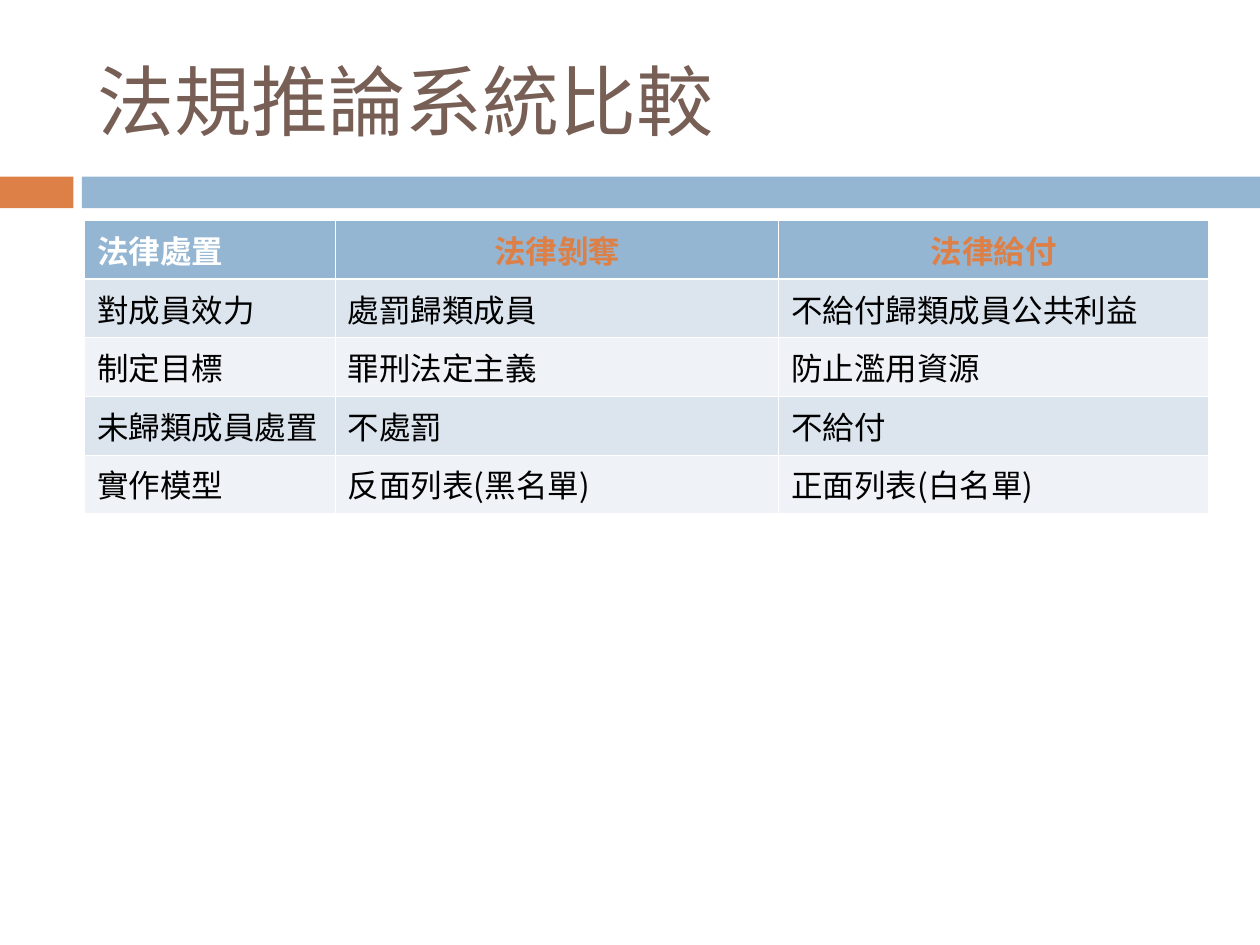
"""Build a slide comparing two kinds of legal inference systems in a table."""
from lxml.etree import SubElement
from pptx import Presentation
from pptx.dml.color import RGBColor
from pptx.enum.shapes import MSO_SHAPE as Shape
from pptx.enum.text import MSO_ANCHOR as Anchor, PP_ALIGN as Align
from pptx.oxml.ns import qn
from pptx.util import Cm, Pt

FONT = "Noto Sans CJK SC"
BLUE, ORANGE, WHITE = "94B6D2", "DD8047", "FFFFFF"


def paint(color_format, color):
    color_format.rgb = RGBColor.from_string(color)


def style(paragraph, size, color, bold=False, align=Align.LEFT):
    paragraph.alignment = align
    for run in paragraph.runs:
        run.font.size, run.font.bold, run.font.name = Pt(size), bold, FONT
        paint(run.font.color, color)
        SubElement(run.font._element, qn("a:ea"), typeface=FONT)


prs = Presentation()
prs.slide_width, prs.slide_height = Cm(25.4), Cm(19.05)
slide = prs.slides.add_slide(prs.slide_layouts[5])

for left, width, color in [(0, 1.48, ORANGE), (1.65, 23.75, BLUE)]:
    band = slide.shapes.add_shape(Shape.RECTANGLE, Cm(left), Cm(3.56), Cm(width), Cm(0.64))
    band.shadow.inherit = False
    band.fill.solid()
    paint(band.fill.fore_color, color)
    band.line.fill.background()

title = slide.shapes.title
title.left, title.top, title.width, title.height = Cm(1.71), Cm(0.64), Cm(22.65), Cm(2.74)
title.text_frame.text = "法規推論系統比較"
title.text_frame.vertical_anchor = Anchor.MIDDLE
style(title.text_frame.paragraphs[0], 44, "775F55")

rows = [
    ("法律處置", "法律剝奪", "法律給付"),
    ("對成員效力", "處罰歸類成員", "不給付歸類成員公共利益"),
    ("制定目標", "罪刑法定主義", "防止濫用資源"),
    ("未歸類成員處置", "不處罰", "不給付"),
    ("實作模型", "反面列表(黑名單)", "正面列表(白名單)"),
]
column_widths = [5.05, 8.94, 8.66]
row_height = 1.18
comparison = slide.shapes.add_table(
    len(rows), len(column_widths), Cm(1.71), Cm(4.45),
    Cm(sum(column_widths)), Cm(row_height * len(rows))).table
for column, width in zip(comparison.columns, column_widths):
    column.width = Cm(width)

for r, texts in enumerate(rows):
    comparison.rows[r].height = Cm(row_height)
    for c, text in enumerate(texts):
        cell = comparison.cell(r, c)
        properties = cell._tc.get_or_add_tcPr()
        for side in "LRTB":
            thick = (r, side) in [(0, "B"), (1, "T")]
            border = SubElement(properties, qn(f"a:ln{side}"), w=str(Pt(1.47 if thick else 0.45)))
            SubElement(SubElement(border, qn("a:solidFill")), qn("a:srgbClr"), val=WHITE)
        cell.fill.solid()
        paint(cell.fill.fore_color, BLUE if r == 0 else ("EFF3F7", "DCE5EE")[r % 2])
        cell.text_frame.text = text
        paragraph = cell.text_frame.paragraphs[0]
        if r > 0:
            style(paragraph, 18, "000000")
        elif c > 0:
            style(paragraph, 18, ORANGE, bold=True, align=Align.CENTER)
        else:
            style(paragraph, 18, WHITE, bold=True)

prs.save("out.pptx")
